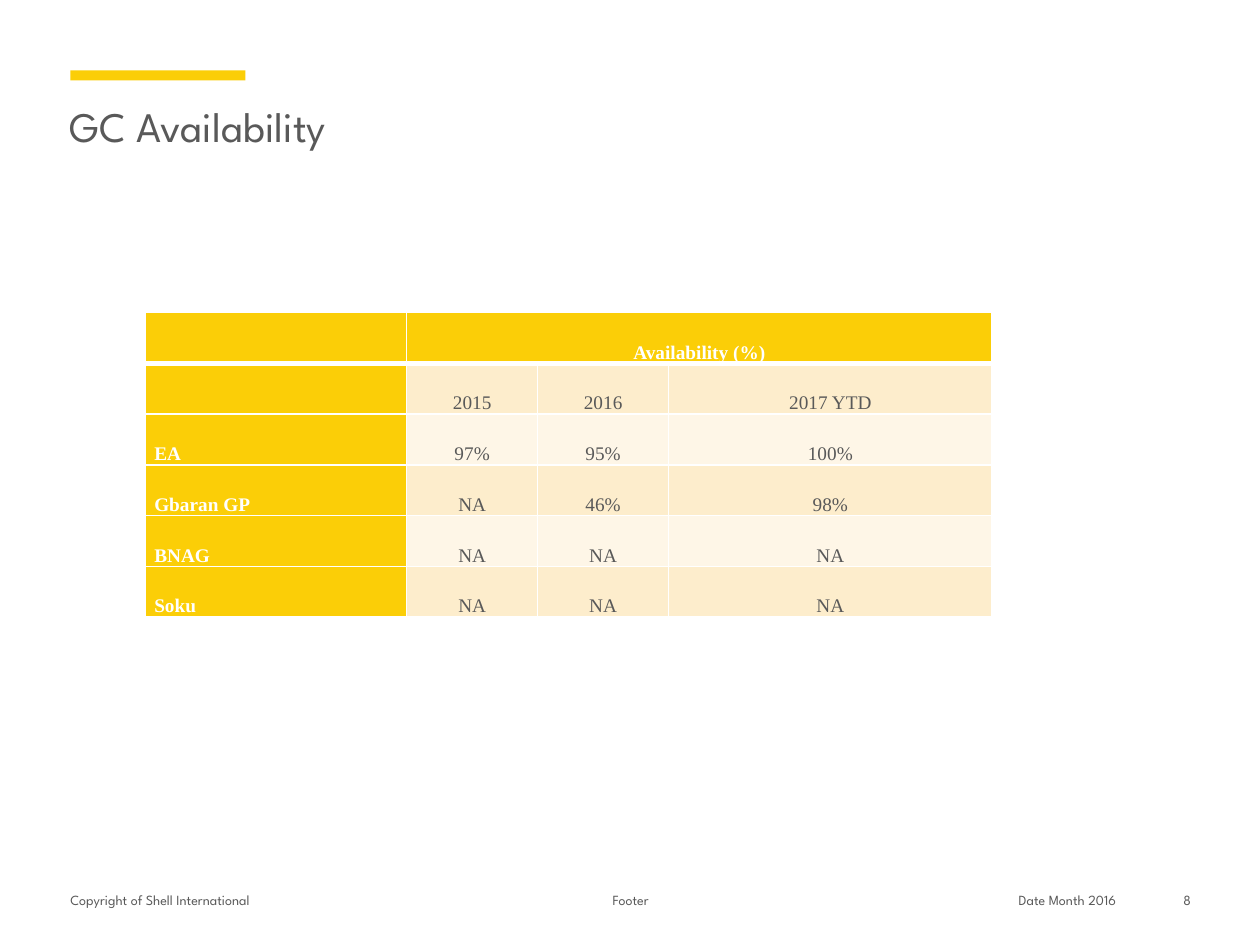
from lxml import etree
from pptx import Presentation
from pptx.dml.color import RGBColor
from pptx.enum.shapes import MSO_SHAPE
from pptx.enum.text import MSO_ANCHOR, PP_ALIGN
from pptx.oxml.ns import qn
from pptx.util import Cm, Pt

GOLD = RGBColor(0xFB, 0xCE, 0x07)
SAND = RGBColor(0xFD, 0xED, 0xCC)
CREAM = RGBColor(0xFE, 0xF6, 0xE7)
WHITE = RGBColor(0xFF, 0xFF, 0xFF)
GREY = RGBColor(0x59, 0x59, 0x59)
LEFT, MID, RIGHT = PP_ALIGN.LEFT, PP_ALIGN.CENTER, PP_ALIGN.RIGHT
BOTTOM = MSO_ANCHOR.BOTTOM
RECT = MSO_SHAPE.RECTANGLE
SANS, SERIF = "League Spartan", "Times New Roman"

deck = Presentation()
deck.slide_width, deck.slide_height = Cm(25.4), Cm(19.05)
slide = deck.slides.add_slide(deck.slide_layouts[6])


def add_text(text, left, top, width, height, size, align=LEFT, wrap=True, base=0):
    box = slide.shapes.add_textbox(Cm(left), Cm(top), Cm(width), Cm(height))
    frame = box.text_frame
    frame.word_wrap = wrap
    frame.margin_left = frame.margin_right = frame.margin_top = 0
    frame.margin_bottom = Cm(base)
    para = frame.paragraphs[0]
    para.alignment = align
    run = para.add_run()
    run.text = text
    run.font.name, run.font.size = SANS, Pt(size)
    run.font.color.rgb = GREY


def add_edge(cell, side, width):
    edge = etree.SubElement(cell._tc.get_or_add_tcPr(), qn("a:" + side), w=str(Pt(width)))
    fill = etree.SubElement(edge, qn("a:solidFill"))
    etree.SubElement(fill, qn("a:srgbClr"), val=str(WHITE))


# Accent bar and title
bar = slide.shapes.add_shape(RECT, Cm(1.42), Cm(1.42), Cm(3.53), Cm(0.2))
bar.shadow.inherit = False
bar.fill.solid()
bar.fill.fore_color.rgb = GOLD
bar.line.fill.background()
add_text("GC Availability", 1.4, 2.03, 22.6, 2.11, 24)

# Availability table
rows = [
    ["", "Availability (%)", "", ""],
    ["", "2015", "2016", "2017 YTD"],
    ["EA", "97%", "95%", "100%"],
    ["Gbaran GP", "NA", "46%", "98%"],
    ["BNAG", "NA", "NA", "NA"],
    ["Soku", "NA", "NA", "NA"],
]
widths = [5.27, 2.64, 2.64, 6.52]
grid = slide.shapes.add_table(
    len(rows), len(widths), Cm(2.93), Cm(6.3), Cm(sum(widths)), Cm(6.14)
).table
for col, width in zip(grid.columns, widths):
    col.width = Cm(width)
for r, row in enumerate(rows):
    for c, text in enumerate(row):
        cell = grid.cell(r, c)
        head = r == 0 or c == 0
        cell.vertical_anchor = BOTTOM
        cell.margin_left = cell.margin_right = Cm(0.18)
        cell.margin_top = cell.margin_bottom = 0
        # Thick rule between the heading row and the body
        add_edge(cell, "lnL", 1)
        add_edge(cell, "lnR", 1)
        add_edge(cell, "lnT", 3 if r == 1 else 1)
        add_edge(cell, "lnB", 3 if r == 0 else 1)
        cell.fill.solid()
        cell.fill.fore_color.rgb = GOLD if head else SAND if r % 2 else CREAM
        para = cell.text_frame.paragraphs[0]
        para.alignment = MID if c else LEFT
        para.font.size = Pt(11)
        if text:
            run = para.add_run()
            run.text = text
            run.font.name, run.font.size = SERIF, Pt(11)
            run.font.bold = head
            run.font.color.rgb = WHITE if head else GREY
grid.cell(0, 1).merge(grid.cell(0, 3))

# Footer line
for text, left, width, align, wrap in [
    ("Copyright of Shell International", 1.42, 6.35, LEFT, False),
    ("Footer", 8.13, 9.17, MID, True),
    ("Date Month 2016", 20.02, 3, MID, False),
    ("8", 23.27, 0.74, RIGHT, False),
]:
    add_text(text, left, 17.98, width, 0.66, 8, align, wrap, 0.13)

deck.save("out.pptx")
